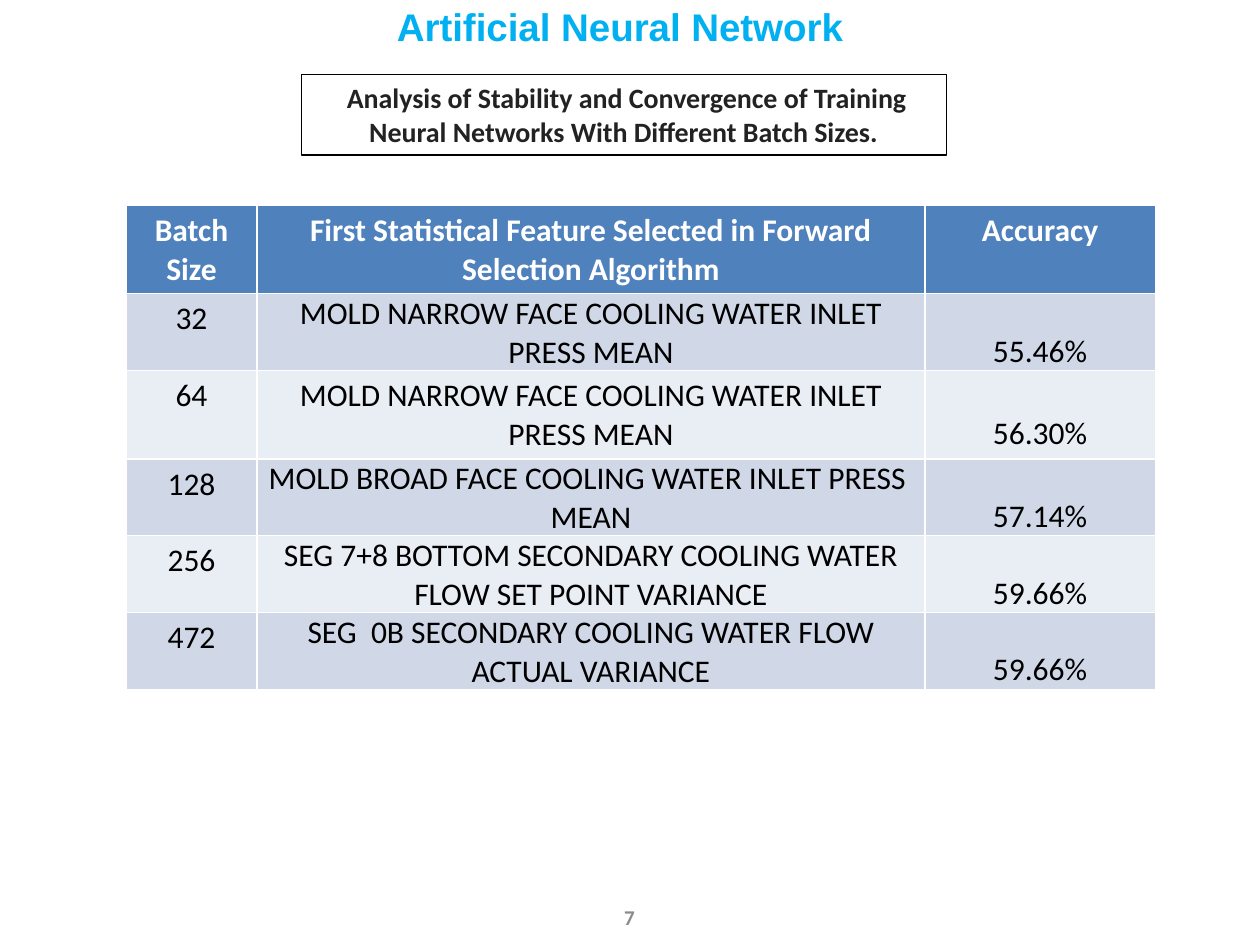
from dataclasses import dataclass

from pptx import Presentation
from pptx.dml.color import RGBColor
from pptx.enum.shapes import MSO_SHAPE as Shape
from pptx.enum.text import MSO_ANCHOR as Anchor, PP_ALIGN as Align
from pptx.util import Inches, Pt


@dataclass(frozen=True)
class Theme:
    heading_font: str = "Arial"
    body_font: str = "Calibri"
    title: str = "00B0F0"
    subtitle: str = "222222"
    number: str = "8C8C8C"
    outline: str = "000000"
    header_text: str = "FFFFFF"
    body_text: str = "000000"
    header_fill: str = "4F81BD"
    bands: tuple = ("D0D8E8", "E9EDF4")
    title_size: int = 22
    subtitle_size: int = 16
    table_size: int = 18
    number_size: int = 12


HEADERS = ("Batch Size", "First Statistical Feature Selected in Forward Selection Algorithm", "Accuracy")
RESULTS = (
    ("32", "MOLD NARROW FACE COOLING WATER INLET PRESS MEAN", "55.46%"),
    ("64", "MOLD NARROW FACE COOLING WATER INLET PRESS MEAN", "56.30%"),
    ("128", "MOLD BROAD FACE COOLING WATER INLET PRESS  MEAN", "57.14%"),
    ("256", "SEG 7+8 BOTTOM SECONDARY COOLING WATER FLOW SET POINT VARIANCE", "59.66%"),
    ("472", "SEG  0B SECONDARY COOLING WATER FLOW ACTUAL VARIANCE", "59.66%"),
)
COLUMN_WIDTHS = (1.04, 5.3, 1.83)
HEADER_HEIGHT, TIGHT_HEIGHT, ROOMY_HEIGHT = 0.69, 0.61, 0.7
ROOMY_ROW = 2  # the one result row that keeps the default cell margins


class SlideBuilder:
    def __init__(self, slide, theme):
        self.slide = slide
        self.theme = theme

    def set_text(self, frame, text, size, color, bold=True, font=None, align=Align.CENTER):
        frame.text = text
        para = frame.paragraphs[0]
        para.alignment = align
        for span in para.runs:
            span.font.name = font or self.theme.body_font
            span.font.size = Pt(size)
            span.font.bold = bold
            span.font.color.rgb = RGBColor.from_string(color)

    def title(self, text, left, top, width, height):
        box = self.slide.shapes.title
        box.left, box.top, box.width, box.height = map(Inches, (left, top, width, height))
        box.text_frame.vertical_anchor = Anchor.TOP
        self.set_text(box.text_frame, text, self.theme.title_size, self.theme.title,
                      font=self.theme.heading_font, align=Align.LEFT)

    def outlined_box(self, text, left, top, width, height):
        box = self.slide.shapes.add_shape(Shape.RECTANGLE, *map(Inches, (left, top, width, height)))
        box.shadow.inherit = False
        box.fill.background()
        box.line.color.rgb = RGBColor.from_string(self.theme.outline)
        box.line.width = Pt(0.75)
        box.text_frame.word_wrap = True
        box.text_frame.vertical_anchor = Anchor.TOP
        self.set_text(box.text_frame, text, self.theme.subtitle_size, self.theme.subtitle)

    def page_number(self, text, left, top, width, height):
        box = self.slide.shapes.add_textbox(*map(Inches, (left, top, width, height)))
        box.text_frame.word_wrap = True
        box.text_frame.vertical_anchor = Anchor.MIDDLE
        self.set_text(box.text_frame, text, self.theme.number_size, self.theme.number)

    def cell(self, cell, text, fill, color, bold):
        cell.fill.solid()
        cell.fill.fore_color.rgb = RGBColor.from_string(fill)
        self.set_text(cell.text_frame, text, self.theme.table_size, color, bold)

    def results_table(self, left, top):
        heights = [HEADER_HEIGHT] + [TIGHT_HEIGHT] * len(RESULTS)
        heights[ROOMY_ROW] = ROOMY_HEIGHT
        table = self.slide.shapes.add_table(
            len(heights), len(COLUMN_WIDTHS), Inches(left), Inches(top),
            Inches(sum(COLUMN_WIDTHS)), Inches(sum(heights))).table
        for column, width in zip(table.columns, COLUMN_WIDTHS):
            column.width = Inches(width)
        for row, height in zip(table.rows, heights):
            row.height = Inches(height)

        for index, text in enumerate(HEADERS):
            self.cell(table.cell(0, index), text, self.theme.header_fill, self.theme.header_text, True)
        for row, values in enumerate(RESULTS, start=1):
            fill = self.theme.bands[(row - 1) % 2]
            for index, text in enumerate(values):
                cell = table.cell(row, index)
                self.cell(cell, text, fill, self.theme.body_text, False)
                if index and row != ROOMY_ROW:
                    cell.vertical_anchor = Anchor.BOTTOM
                    cell.margin_left = cell.margin_right = cell.margin_top = Inches(0.01)
                    cell.margin_bottom = 0
        table.cell(ROOMY_ROW, 2).vertical_anchor = Anchor.BOTTOM


def main():
    deck = Presentation()
    deck.slide_width, deck.slide_height = Inches(10), Inches(7.5)
    page = SlideBuilder(deck.slides.add_slide(deck.slide_layouts[5]), Theme())
    page.page_number("7", 4.65, 7.08, 0.69, 0.4)
    page.title("Artificial Neural Network", 3.05, -0.03, 4.58, 0.44)
    page.outlined_box(
        " Analysis of Stability and Convergence of Training Neural Networks With Different Batch Sizes.",
        2.39, 0.59, 5.12, 0.64)
    page.results_table(1, 1.63)
    deck.save("out.pptx")


if __name__ == "__main__":
    main()
